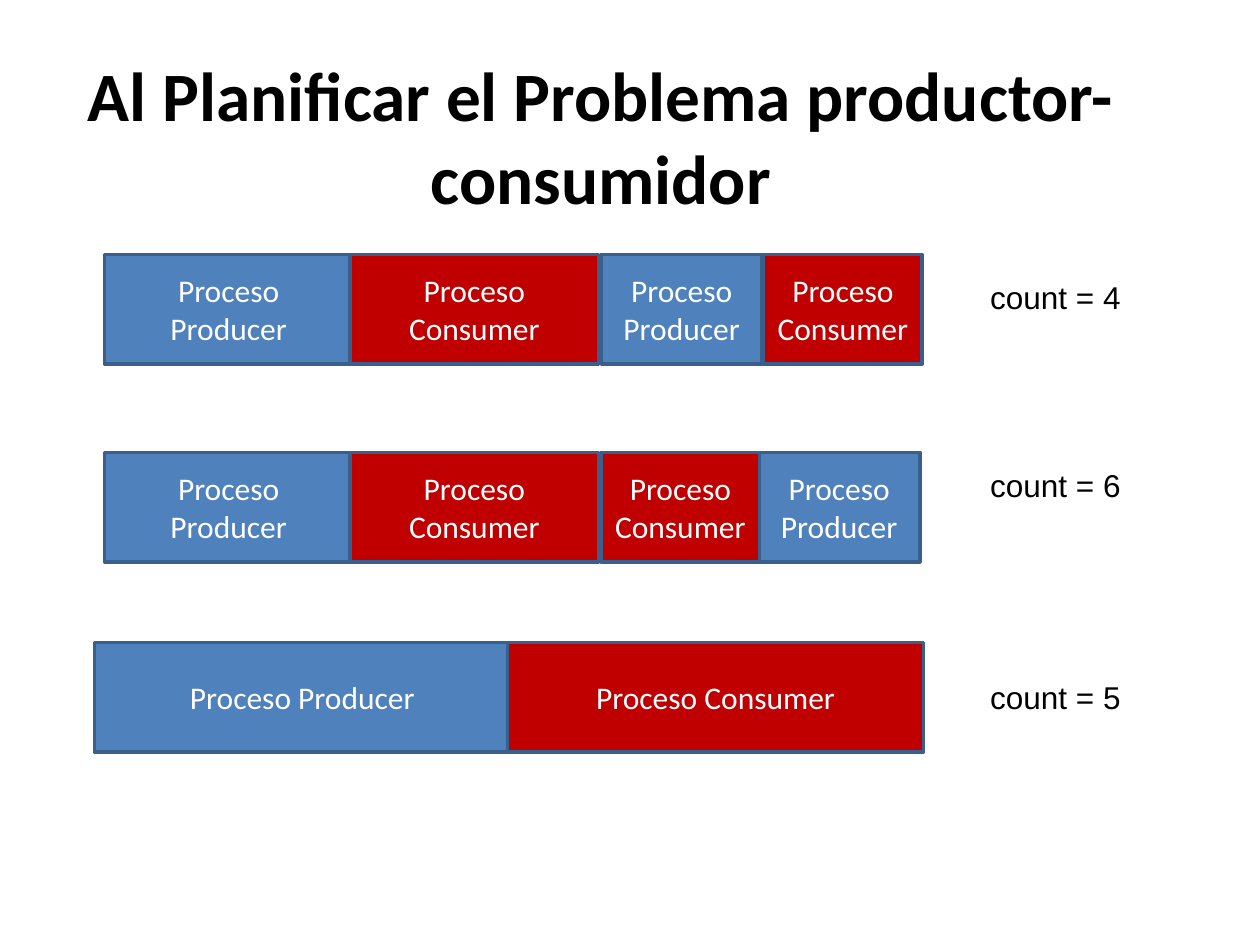
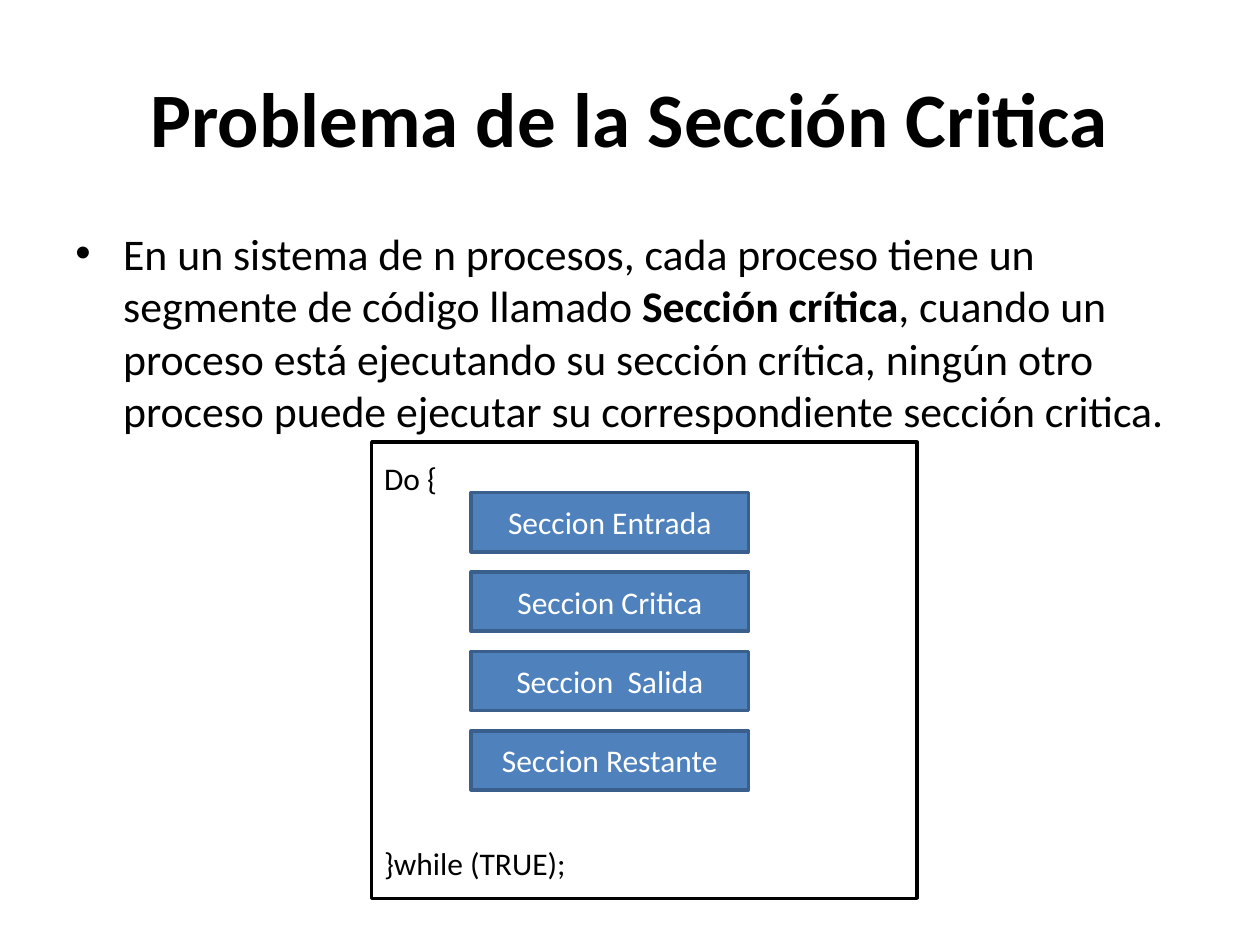
from dataclasses import dataclass

from lxml import etree
from pptx import Presentation
from pptx.dml.color import RGBColor
from pptx.enum.shapes import MSO_SHAPE
from pptx.enum.text import MSO_ANCHOR, MSO_AUTO_SIZE, PP_ALIGN
from pptx.oxml.ns import qn
from pptx.util import Pt

RECTANGLE = MSO_SHAPE.RECTANGLE
TOP, MIDDLE = MSO_ANCHOR.TOP, MSO_ANCHOR.MIDDLE
LEFT, CENTER = PP_ALIGN.LEFT, PP_ALIGN.CENTER
FIT_SHAPE = MSO_AUTO_SIZE.SHAPE_TO_FIT_TEXT

PX = 9144  # EMU per px, 100 px to the inch
COLORS = {
    "text": "000000",
    "paper": "FFFFFF",
    "producer": "4F81BD",
    "consumer": "C00000",
    "border": "3A5F8C",
}
HEADING, LABEL = "Calibri", "Arial"


@dataclass(frozen=True)
class Box:
    left: int
    top: int
    width: int
    height: int


@dataclass(frozen=True)
class Block:
    role: str
    left: int
    width: int


@dataclass(frozen=True)
class Schedule:
    top: int
    blocks: tuple[Block, ...]
    count: int
    count_top: int


BLOCK_HEIGHT = 87
FIRST_HALF = (Block("producer", 83, 197), Block("consumer", 278, 197))
SCHEDULES = (
    Schedule(202, FIRST_HALF + (Block("producer", 477, 128), Block("consumer", 606, 126)), 4, 216),
    Schedule(359, FIRST_HALF + (Block("consumer", 477, 126), Block("producer", 602, 128)), 6, 365),
    Schedule(510, (Block("producer", 75, 330), Block("consumer", 403, 330)), 5, 533),
)
SECTIONS = ("Seccion Entrada", "Seccion Critica", "Seccion  Salida", "Seccion Restante")
SECTION_PITCH = 63


def rgb(name: str) -> RGBColor:
    return RGBColor.from_string(COLORS[name])


def emu(box: Box) -> tuple[int, ...]:
    return tuple(length * PX for length in (box.left, box.top, box.width, box.height))


def set_format(target, values: dict) -> None:
    for name, value in values.items():
        setattr(target, name, value)


def add_run(paragraph, text: str, size: float = 18, color: str = "text",
            font: str = HEADING, bold: bool = False) -> None:
    run = paragraph.add_run()
    run.text = text
    set_format(run.font, {"name": font, "size": Pt(size), "bold": bold})
    run.font.color.rgb = rgb(color)


def add_text_box(slide, box: Box, anchor=TOP, wrap: bool = True):
    frame = slide.shapes.add_textbox(*emu(box)).text_frame
    set_format(frame, {"word_wrap": wrap, "vertical_anchor": anchor})
    return frame


def add_title(slide, box: Box, text: str, size: float) -> None:
    paragraph = add_text_box(slide, box, MIDDLE).paragraphs[0]
    paragraph.alignment = CENTER
    add_run(paragraph, text, size, bold=True)


def add_rectangle(shapes, box: Box, fill: str, border: str = "border"):
    shape = shapes.add_shape(RECTANGLE, *emu(box))
    shape.shadow.inherit = False
    shape.fill.solid()
    shape.fill.fore_color.rgb = rgb(fill)
    shape.line.color.rgb = rgb(border)
    shape.line.width = Pt(2)
    set_format(shape.text_frame, {"word_wrap": True, "vertical_anchor": MIDDLE})
    return shape.text_frame


def add_process(shapes, box: Box, text: str, fill: str = "producer") -> None:
    paragraph = add_rectangle(shapes, box, fill).paragraphs[0]
    paragraph.alignment = CENTER
    add_run(paragraph, text, color="paper")


def add_bullet(paragraph, indent: int) -> None:
    properties = paragraph._p.get_or_add_pPr()
    properties.set("marL", str(indent * PX))
    properties.set("indent", str(-indent * PX))
    etree.SubElement(properties, qn("a:buFont"), typeface=LABEL)
    etree.SubElement(properties, qn("a:buChar"), char="•")


def add_schedule(slide, schedule: Schedule) -> None:
    # Consumers lie over the edges of producers
    shapes = slide.shapes.add_group_shape().shapes
    for block in sorted(schedule.blocks, key=lambda block: block.role, reverse=True):
        box = Box(block.left, schedule.top, block.width, BLOCK_HEIGHT)
        add_process(shapes, box, f"Proceso {block.role.title()}", block.role)
    frame = add_text_box(slide, Box(776, schedule.count_top, 125, 40), wrap=False)
    frame.auto_size = FIT_SHAPE
    add_run(frame.paragraphs[0], f"count = {schedule.count}", font=LABEL)


def build_scheduling_slide(slide) -> None:
    add_title(slide, Box(27, 45, 900, 125),
              "Al Planificar el Problema productor-consumidor", 39.6)
    for schedule in SCHEDULES:
        add_schedule(slide, schedule)


def build_critical_section_slide(slide) -> None:
    add_title(slide, Box(50, 30, 900, 125), "Problema de la Sección Critica", 44)

    # Definition
    paragraph = add_text_box(slide, Box(50, 175, 900, 200)).paragraphs[0]
    paragraph.space_before = Pt(5)
    add_bullet(paragraph, 38)
    add_run(paragraph, "En un sistema de n procesos, cada proceso tiene un "
            "segmente de código llamado ", 25)
    add_run(paragraph, "Sección crítica", 25, bold=True)
    add_run(paragraph, ", cuando un proceso está ejecutando su sección crítica, ningún otro "
            "proceso puede ejecutar su correspondiente sección critica.", 25)

    # Loop frame, with room for the sections between its two lines
    frame = add_rectangle(slide.shapes, Box(295, 351, 433, 362), "paper", "text")
    opening, closing = frame.paragraphs[0], frame.add_paragraph()
    closing.space_before = Pt(198)
    for paragraph, text in ((opening, "Do {"), (closing, "}while (TRUE);")):
        paragraph.alignment = LEFT
        add_run(paragraph, text)

    # Sections of the loop
    for index, section in enumerate(SECTIONS):
        add_process(slide.shapes, Box(374, 391 + index * SECTION_PITCH, 220, 47), section)


def main() -> None:
    presentation = Presentation()
    set_format(presentation, {"slide_width": 1000 * PX, "slide_height": 750 * PX})
    blank = presentation.slide_layouts[6]
    for build in (build_scheduling_slide, build_critical_section_slide):
        build(presentation.slides.add_slide(blank))
    presentation.save("out.pptx")


if __name__ == "__main__":
    main()
